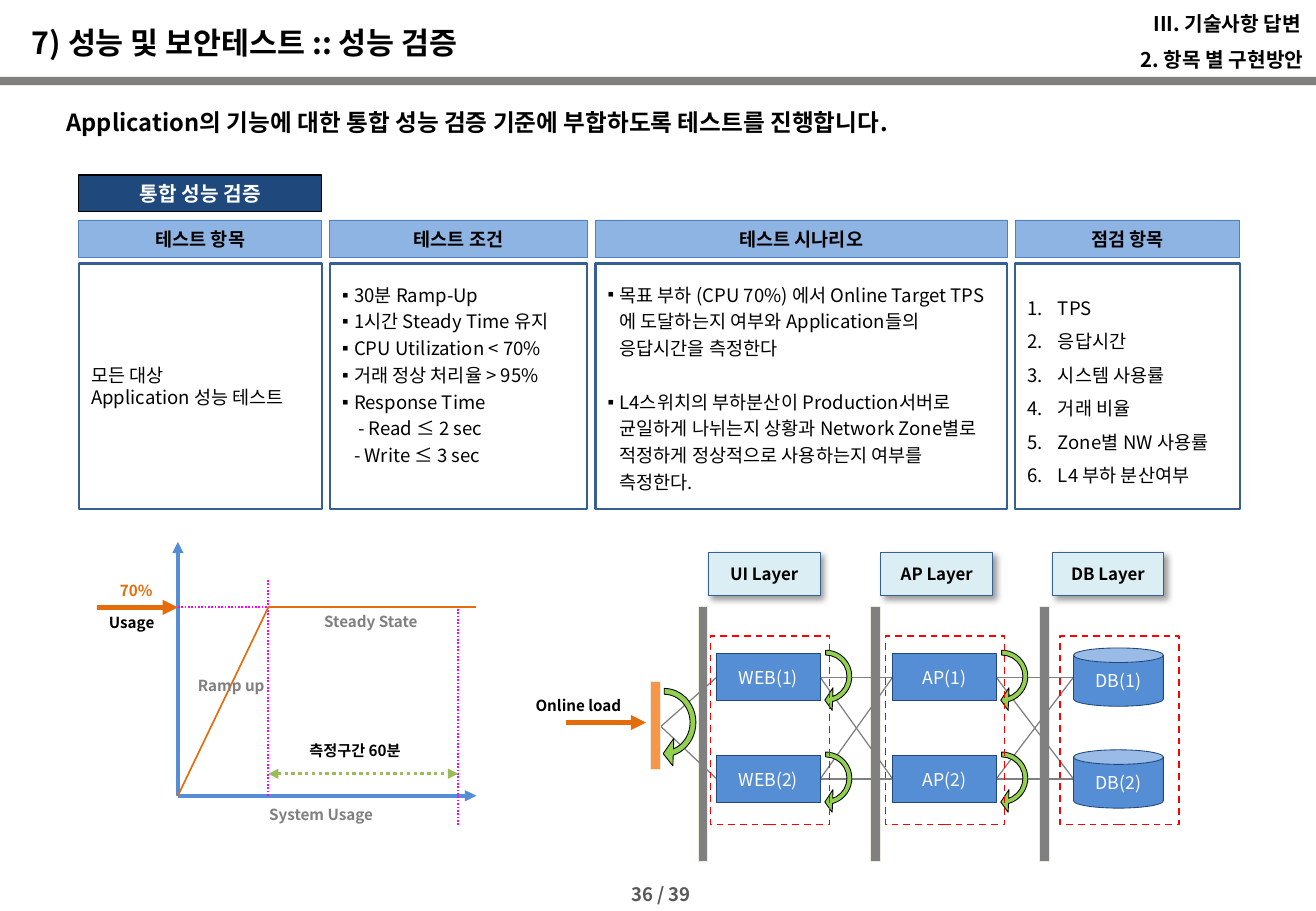
from dataclasses import dataclass
from itertools import pairwise, product

from lxml.etree import SubElement
from pptx import Presentation
from pptx.dml.color import RGBColor
from pptx.enum.dml import MSO_LINE
from pptx.enum.shapes import MSO_CONNECTOR, MSO_SHAPE
from pptx.enum.text import MSO_ANCHOR, MSO_AUTO_SIZE, PP_ALIGN
from pptx.oxml.ns import qn
from pptx.util import Cm, Pt

RECTANGLE, CAN, TURN = MSO_SHAPE.RECTANGLE, MSO_SHAPE.CAN, MSO_SHAPE.CIRCULAR_ARROW
LEFT, CENTER, RIGHT = PP_ALIGN.LEFT, PP_ALIGN.CENTER, PP_ALIGN.RIGHT
TOP, MIDDLE = MSO_ANCHOR.TOP, MSO_ANCHOR.MIDDLE
DOTTED, DASHED = MSO_LINE.ROUND_DOT, MSO_LINE.DASH


@dataclass(frozen=True)
class Theme:
    font: str = "Noto Sans CJK KR"
    black: str = "000000"
    white: str = "FFFFFF"
    gray: str = "808080"
    page_gray: str = "595959"
    pale: str = "EEECE1"
    navy: str = "1F497D"
    frame: str = "376092"
    blue: str = "558ED5"
    header: str = "8EB4E3"
    header_line: str = "4F81BD"
    label: str = "DBEEF4"
    orange: str = "E46C0A"
    load: str = "F79646"
    magenta: str = "FF00FF"
    green: str = "9BBB59"
    turn: str = "92D050"
    red: str = "FF0000"
    title_size: float = 18
    lead_size: float = 14
    section_size: float = 12
    body_size: float = 11
    node_size: float = 10.5
    layer_size: float = 10
    note_size: float = 9


@dataclass(frozen=True)
class Item:
    text: str
    bullet: str = ""  # a character, "1." for numbering, or none
    indent: float = 0
    before: float = 0


@dataclass(frozen=True)
class Column:
    header: str
    width: float
    spacing: float
    items: list[Item]
    bottom: float = 0.13


@dataclass(frozen=True)
class Layer:
    label: str
    bar_left: float
    label_left: float
    zone_left: float
    node_left: float
    node_width: float
    node_height: float
    node_shape: MSO_SHAPE
    node_name: str


@dataclass(frozen=True)
class Line:
    start: tuple[float, float]
    end: tuple[float, float]
    color: str
    width: float
    dash: MSO_LINE | None = None
    arrows: tuple[str, ...] = ()


@dataclass(frozen=True)
class Note:
    text: str
    left: float
    top: float
    width: float
    color: str


THEME = Theme()
COLUMNS = [
    Column("테스트 항목", 5.08, 1, [Item("모든 대상"), Item("Application 성능 테스트")]),
    Column("테스트 조건", 5.38, 1.2, [
        Item("30분 Ramp-Up", "▪", 0.25), Item("1시간 Steady Time 유지", "▪", 0.25),
        Item("CPU Utilization < 70%", "▪", 0.25), Item("거래 정상 처리율 > 95%", "▪", 0.25),
        Item("Response Time\v - Read ≤ 2 sec", "▪", 0.25),
        Item("- Write ≤ 3 sec", indent=0.25)], 0.69),
    Column("테스트 시나리오", 8.61, 1.2, [
        Item("목표 부하 (CPU 70%) 에서 Online Target TPS에 도달하는지 여부와 "
             "Application들의 응답시간을 측정한다", "▪", 0.25),
        Item("L4스위치의 부하분산이 Production서버로 균일하게 나뉘는지 상황과 "
             "Network Zone별로 적정하게 정상적으로 사용하는지 여부를 측정한다.", "▪", 0.25, 16)]),
    Column("점검 항목", 4.7, 1.5, [Item(text, "1.", 0.64) for text in (
        "TPS", "응답시간", "시스템 사용률", "거래 비율", "Zone별 NW 사용률", "L4 부하 분산여부")]),
]
COLUMN_LEFT, COLUMN_GAP = 1.65, 0.17
LAYERS = [
    Layer("UI Layer", 14.6, 14.81, 14.86, 14.99, 2.16, 0.99, RECTANGLE, "WEB"),
    Layer("AP Layer", 18.21, 18.42, 18.52, 18.67, 2.16, 0.99, RECTANGLE, "AP"),
    Layer("DB Layer", 21.74, 22, 22.17, 22.45, 1.88, 1.22, CAN, "DB"),
]
NODE_CENTERS = (14.16, 16.29)
LOAD_POINT = (13.82, 15.19)
TURN_ADJUSTMENTS = (0.069, 11.423, 205.746, 108, 0.162)

# Load graph: key positions on its two axes
AXIS_X, RAMP_X, STEADY_X, AXIS_END = 3.72, 5.61, 9.58, 9.96
AXIS_Y, STEADY_Y, SPAN_Y = 16.64, 12.7, 16.18
GRAPH_LINES = [
    Line((AXIS_X, AXIS_Y), (AXIS_X, 11.33), THEME.blue, 2.25, None, ("tailEnd",)),
    Line((AXIS_X, AXIS_Y), (AXIS_END, AXIS_Y), THEME.blue, 2.25, None, ("tailEnd",)),
    Line((AXIS_X, STEADY_Y), (RAMP_X, STEADY_Y), THEME.magenta, 1, DOTTED),
    Line((RAMP_X, AXIS_Y), (RAMP_X, 12.09), THEME.magenta, 1, DOTTED),
    Line((AXIS_X, AXIS_Y), (RAMP_X, STEADY_Y), THEME.orange, 1),
    Line((STEADY_X, 17.25), (STEADY_X, STEADY_Y), THEME.magenta, 1, DOTTED),
    Line((2.03, STEADY_Y), (AXIS_X, STEADY_Y), THEME.orange, 3, None, ("tailEnd",)),
    Line((RAMP_X, SPAN_Y), (STEADY_X, SPAN_Y), THEME.green, 2, DOTTED, ("headEnd", "tailEnd")),
    Line((RAMP_X, STEADY_Y), (AXIS_END, STEADY_Y), THEME.orange, 1),
    Line((11.84, 15.11), (13.51, 15.11), THEME.orange, 3, None, ("tailEnd",)),
]
NOTES = [
    Note("70%", 2.26, 12.04, 1.42, THEME.orange),
    Note("Usage", 2.03, 12.7, 1.6, THEME.black),
    Note("Ramp up", 3.89, 14.02, 1.96, THEME.gray),
    Note("System Usage", 5.38, 16.71, 2.84, THEME.gray),
    Note("Steady State", 6.53, 12.67, 2.84, THEME.gray),
    Note("측정구간 60분", 6.22, 15.37, 2.84, THEME.black),
    Note("Online load", 10.95, 14.43, 2.59, THEME.black),
]


def style_text(shape, color: str, size: float, bold: bool = False, align=LEFT,
               anchor=MIDDLE, spacing: float = 1) -> None:
    frame = shape.text_frame
    frame.auto_size = MSO_AUTO_SIZE.NONE
    frame.vertical_anchor = anchor
    for para in frame.paragraphs:
        para.alignment, para.line_spacing = align, spacing
        for span in para.runs:
            font = span.font
            font.name, font.size, font.bold = THEME.font, Pt(size), bold
            font.color.rgb = RGBColor.from_string(color)
            font._element.set("kern", "0")
            SubElement(font._element, qn("a:ea"), typeface=THEME.font)


def add_box(page, kind, left: float, top: float, width: float, height: float,
            fill: str | None, line: str, line_width: float = 0.5, text: str = ""):
    box = page.shapes.add_shape(kind, Cm(left), Cm(top), Cm(width), Cm(height))
    box.shadow.inherit = False
    if fill:
        box.fill.solid()
        box.fill.fore_color.rgb = RGBColor.from_string(fill)
    else:
        box.fill.background()
    box.line.color.rgb = RGBColor.from_string(line)
    box.line.width = Pt(line_width)
    box.text_frame.text = text
    return box


def add_text(page, text: str, left: float, top: float, width: float, height: float):
    box = page.shapes.add_textbox(Cm(left), Cm(top), Cm(width), Cm(height))
    box.text_frame.word_wrap = True
    box.text_frame.text = text
    return box


def place(shape, left: float, top: float, width: float, height: float) -> None:
    shape.left, shape.top, shape.width, shape.height = Cm(left), Cm(top), Cm(width), Cm(height)


def add_line(page, line: Line) -> None:
    connector = page.shapes.add_connector(
        MSO_CONNECTOR.STRAIGHT, *(Cm(value) for value in line.start + line.end))
    connector.line.color.rgb = RGBColor.from_string(line.color)
    connector.line.width = Pt(line.width)
    if line.dash:
        connector.line.dash_style = line.dash
    properties = connector.element.spPr
    for end in line.arrows:
        SubElement(properties.find(qn("a:ln")), qn(f"a:{end}"), type="triangle")
    SubElement(properties, qn("a:effectLst"))


def add_shadow(box) -> None:
    effects = box.element.spPr.find(qn("a:effectLst"))
    shadow = SubElement(effects, qn("a:outerShdw"), blurRad=str(Pt(4)), dist=str(Pt(3)),
                        dir="2700000", algn="tl", rotWithShape="0")
    color = SubElement(shadow, qn("a:srgbClr"), val=THEME.black)
    SubElement(color, qn("a:alpha"), val="40000")


def add_turn(page, left: float, top: float, width: float, height: float) -> None:
    arrow = add_box(page, TURN, left, top, width, height, THEME.turn, THEME.black)
    arrow.rotation = 90
    for index, value in enumerate(TURN_ADJUSTMENTS):
        arrow.adjustments[index] = value


def fill_column(body, column: Column, left: float) -> None:
    place(body, left, 5.51, column.width, 5.13)
    body.line.color.rgb = RGBColor.from_string(THEME.frame)
    body.line.width = Pt(1.5)
    frame = body.text_frame
    frame.text = "\n".join(item.text for item in column.items)
    frame.margin_bottom = Cm(column.bottom)
    for para, item in zip(frame.paragraphs, column.items):
        para.space_before = Pt(item.before)
        properties = para._p.get_or_add_pPr()
        properties.set("marL", str(Cm(item.indent)))
        properties.set("indent", str(-Cm(item.indent) if item.bullet else 0))
        if item.bullet == "1.":
            SubElement(properties, qn("a:buAutoNum"), type="arabicPeriod")
        elif item.bullet:
            SubElement(properties, qn("a:buChar"), char=item.bullet)
        else:
            SubElement(properties, qn("a:buNone"))
    style_text(body, THEME.black, THEME.body_size, spacing=column.spacing)


def add_heading(page) -> None:
    title = page.shapes.title
    place(title, 0.41, 0.36, 17.3, 1.07)
    title.text_frame.text = "7) 성능 및 보안테스트 :: 성능 검증"
    style_text(title, THEME.black, THEME.title_size, True)
    add_box(page, RECTANGLE, -0.18, 1.6, 27.71, 0.18, THEME.gray, THEME.pale)
    for text, left, top in (("III. 기술사항 답변", 21.41, 0), ("2. 항목 별 구현방안", 21.46, 0.76)):
        box = add_text(page, text, left, top, 6.05, 0.86)
        style_text(box, THEME.black, THEME.section_size, True, RIGHT, spacing=1.2)
    lead = add_text(page, "Application의 기능에 대한 통합 성능 검증 기준에 부합하도록 테스트를 진행합니다.",
                    1.14, 2.01, 25.4, 0.97)
    style_text(lead, THEME.black, THEME.lead_size, True, anchor=TOP, spacing=1.2)
    number = add_text(page, "36 / 39", 12.95, 18.34, 2.51, 0.71)
    style_text(number, THEME.page_gray, THEME.body_size, True, anchor=TOP)


def add_columns(page) -> None:
    tag = add_box(page, RECTANGLE, COLUMN_LEFT, 3.66, COLUMNS[0].width, 0.76,
                  THEME.navy, THEME.black, 0.75, "통합 성능 검증")
    style_text(tag, THEME.white, THEME.section_size, True, CENTER)
    left = COLUMN_LEFT
    for index, column in enumerate(COLUMNS, 1):
        header = add_box(page, RECTANGLE, left, 4.6, column.width, 0.79,
                         THEME.header, THEME.header_line, text=column.header)
        style_text(header, THEME.black, THEME.body_size, True, CENTER)
        fill_column(page.placeholders[index], column, left)
        left += column.width + COLUMN_GAP


def add_layers(page) -> None:
    for layer in LAYERS:
        add_box(page, RECTANGLE, layer.bar_left, 12.68, 0.2, 5.33, THEME.gray, THEME.pale)
    # Links from the load to the first layer, then between neighbours
    links = [(LOAD_POINT, (LAYERS[0].node_left, center)) for center in NODE_CENTERS]
    for source, target in pairwise(LAYERS):
        links += [((source.node_left + source.node_width, start), (target.node_left, end))
                  for start, end in product(NODE_CENTERS, repeat=2)]
    for start, end in links:
        add_line(page, Line(start, end, THEME.gray, 0.75))
    add_box(page, RECTANGLE, 13.61, 14.25, 0.2, 1.85, THEME.load, THEME.pale)
    add_turn(page, 12.95, 14.22, 1.88, 1.78)
    for layer in LAYERS:
        label = add_box(page, RECTANGLE, layer.label_left, 11.55, 2.34, 0.91,
                        THEME.label, THEME.frame, text=layer.label)
        style_text(label, THEME.black, THEME.layer_size, True, CENTER)
        add_shadow(label)
        for number, center in enumerate(NODE_CENTERS, 1):
            node = add_box(page, layer.node_shape, layer.node_left, center - layer.node_height / 2,
                           layer.node_width, layer.node_height, THEME.blue, THEME.navy,
                           text=f"{layer.node_name}({number})")
            style_text(node, THEME.white, THEME.node_size, align=CENTER)
            if layer is not LAYERS[-1]:
                add_turn(page, layer.node_left + layer.node_width - 0.62, center - 0.75, 1.47, 1.47)
        zone = add_box(page, RECTANGLE, layer.zone_left, 13.3, 2.49, 3.94, None, THEME.red, 1)
        zone.line.dash_style = DASHED


def add_graph(page) -> None:
    for line in GRAPH_LINES:
        add_line(page, line)
    for note in NOTES:
        box = add_text(page, note.text, note.left, note.top, note.width, 0.64)
        style_text(box, note.color, THEME.note_size, True, anchor=TOP)


def main() -> None:
    deck = Presentation()
    deck.slide_width, deck.slide_height = Cm(27.52), Cm(19.05)
    page = deck.slides.add_slide(deck.slide_layouts.get_by_name("Comparison"))
    add_heading(page)
    add_columns(page)
    add_layers(page)
    add_graph(page)
    deck.save("out.pptx")


if __name__ == "__main__":
    main()
